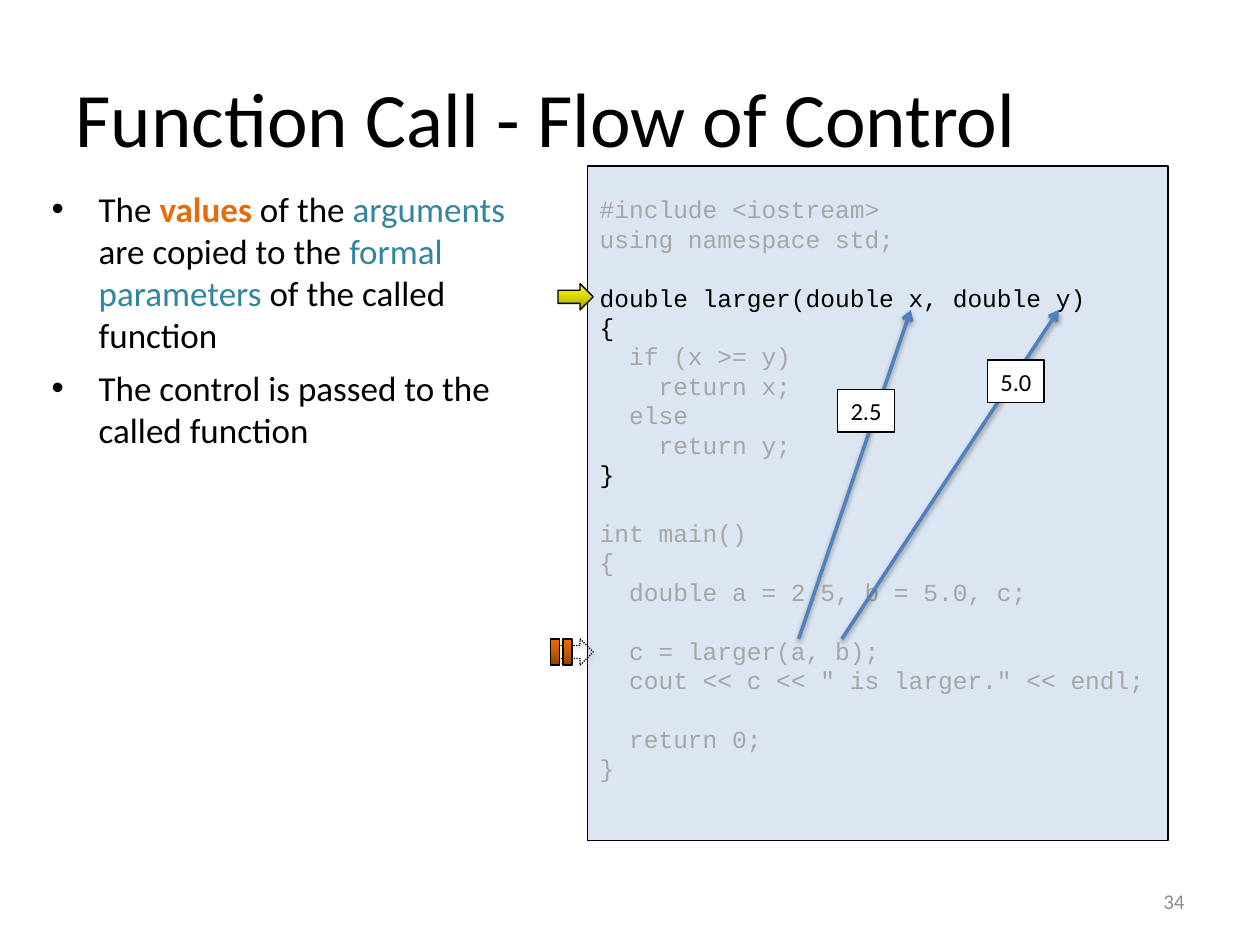
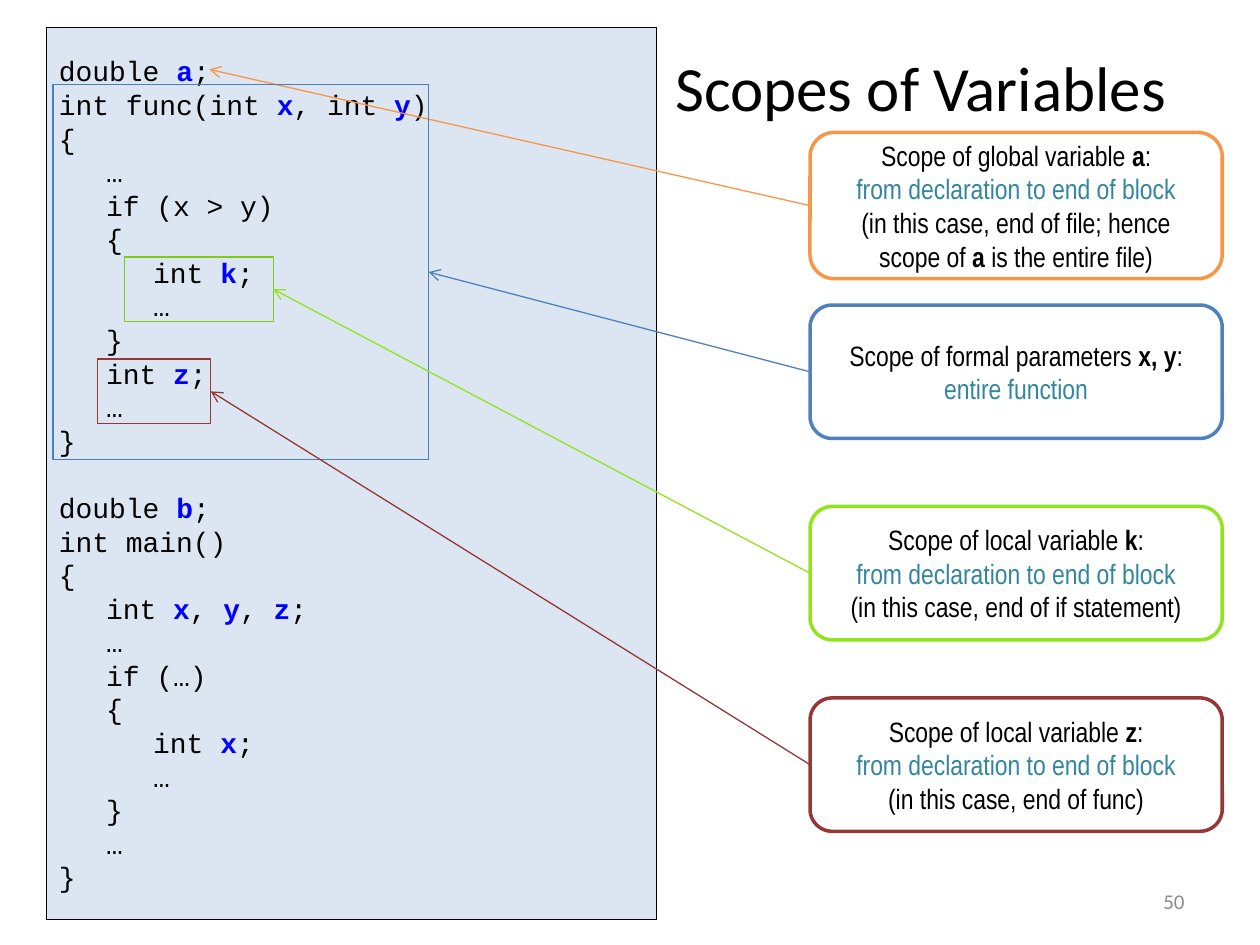
from dataclasses import dataclass

from lxml.etree import SubElement
from pptx import Presentation
from pptx.dml.color import RGBColor
from pptx.enum.dml import MSO_LINE
from pptx.enum.shapes import MSO_CONNECTOR, MSO_SHAPE
from pptx.enum.text import MSO_ANCHOR, PP_ALIGN
from pptx.oxml.ns import qn
from pptx.util import Cm, Pt


@dataclass(frozen=True)
class Theme:
    black: str = "000000"
    white: str = "FFFFFF"
    dimmed: str = "A6A6A6"
    number: str = "8C8C8C"
    panel: str = "DCE6F2"
    value: str = "E46C0A"
    term: str = "31859C"
    variable: str = "0000FF"
    blue: str = "4F81BD"
    orange: str = "F79646"
    green: str = "91E41E"
    red: str = "953735"
    yellow_gradient: tuple = ("979700", "D7D700", "FFFF00")
    orange_gradient: tuple = ("8D4000", "C85B00", "EE6B00")
    body_font: str = "Calibri"
    code_font: str = "Courier New"
    callout_font: str = "Arial Narrow"
    body_size: int = 20
    label_size: int = 14
    callout_size: int = 16
    number_size: int = 12
    line_height: float = 1.2
    thin: float = 0.75
    thick: float = 2


THEME = Theme()

# Content: flow of control
FLOW_TITLE = "Function Call - Flow of Control"
FLOW_BULLETS = [
    [("The ", THEME.black), ("values", THEME.value, True), (" of the ", THEME.black),
     ("arguments", THEME.term), (" are copied to the ", THEME.black),
     ("formal parameters", THEME.term), (" of the called function", THEME.black)],
    [("The control is passed to the called function", THEME.black)],
]
FLOW_CODE = """\
#include <iostream>
using namespace std;

double larger(double x, double y)
{
  if (x >= y)
    return x;
  else
    return y;
}

int main()
{
  double a = 2.5, b = 5.0, c;

  c = larger(a, b);
  cout << c << " is larger." << endl;

  return 0;
}""".split("\n")
ACTIVE_LINES = {3, 4, 9}
# Start, end, label text and label position of each copied value
COPIED_VALUES = [
    ((16.1, 12.88), (18.36, 6.25), "2.5", (16.89, 7.85)),
    ((16.97, 12.88), (21.34, 6.25), "5.0", (19.91, 7.26)),
]

# Content: scopes; bars enclose the emphasised parts of a line
SCOPE_TITLE = "Scopes of Variables"
SCOPE_CODE = """\
double |a|;
int func(int |x|, int |y|)
{
\t…
\tif (x > y)
\t{
\t\tint |k|;
\t\t…
\t}
\tint |z|;
\t…
}

double |b|;
int main()
{
\tint |x|, |y|, |z|;
\t…
\tif (…)
\t{
\t\tint |x|;
\t\t…
\t}
\t…
}""".split("\n")
TO_END = "from declaration to end of block"
# Each scope: colour, callout top and height, lines, outlined code area, outline colour
SCOPES = [
    (THEME.orange, 2.67, 2.95,
     ["Scope of global variable |a|:", TO_END,
      "(in this case, end of file; hence scope of |a| is the entire file)"], None, None),
    (THEME.blue, 6.15, 2.69,
     ["Scope of formal parameters |x, y|:", "entire function"],
     (1.07, 1.7, 7.57, 7.57), "4B7EBC"),
    (THEME.green, 10.21, 2.69,
     ["Scope of local variable |k|:", TO_END, "(in this case, end of if statement)"],
     (2.51, 5.18, 3, 1.3), "80CA18"),
    (THEME.red, 14.07, 2.69,
     ["Scope of local variable |z|:", TO_END, "(in this case, end of func)"],
     (1.96, 7.24, 2.29, 1.3), THEME.red),
]
GLOBAL_DECLARATION = (4.22, 1.4)


def lengths(values):
    return [Cm(value) for value in values]


def color(value):
    return RGBColor.from_string(value)


def marked(line, plain, strong):
    """Split a line at its bars into plain and bold runs."""
    return [(part, strong if index % 2 else plain, bool(index % 2))
            for index, part in enumerate(line.split("|")) if part]


# Text
def add_tabs(paragraph):
    tab_list = SubElement(paragraph._p.get_or_add_pPr(), qn("a:tabLst"))
    for position in (0.95, 1.9):
        SubElement(tab_list, qn("a:tab"), pos=str(Cm(position)), algn="l")


def add_bullet(paragraph):
    properties = paragraph._p.get_or_add_pPr()
    properties.set("marL", str(Cm(0.95)))
    properties.set("indent", str(-Cm(0.95)))
    bullet_color = SubElement(properties, qn("a:buClr"))
    SubElement(bullet_color, qn("a:srgbClr"), val=THEME.black)
    SubElement(properties, qn("a:buFont"), typeface="Arial")
    SubElement(properties, qn("a:buChar"), char="•")


def write(frame, lines, font, size, align=PP_ALIGN.LEFT, prepare=None, gap=0):
    """Write lines of (text, colour, bold) runs; an empty line becomes space before."""
    height = Pt(size * THEME.line_height)
    space, first = 0, True
    for runs in lines:
        if not runs:
            space += height
            continue
        paragraph = frame.paragraphs[0] if first else frame.add_paragraph()
        if prepare:
            prepare(paragraph)
        paragraph.alignment = align
        paragraph.line_spacing = height
        paragraph.space_before = 0 if first else space + Pt(gap)
        paragraph.font.name = font
        paragraph.font.size = Pt(size)
        for text, run_color, *bold in runs:
            run = paragraph.add_run()
            run.text = text
            run.font.color.rgb = color(run_color)
            run.font.bold = any(bold)
        space, first = 0, False


def add_text(slide, box, lines, size, anchor=MSO_ANCHOR.TOP, **options):
    frame = slide.shapes.add_textbox(*lengths(box)).text_frame
    frame.word_wrap = True
    frame.vertical_anchor = anchor
    write(frame, lines, THEME.body_font, size, **options)


# Shapes and lines
def add_box(slide, kind, box, fill=None, line=THEME.black, width=THEME.thin):
    shape = slide.shapes.add_shape(kind, *lengths(box))
    shape.shadow.inherit = False
    if isinstance(fill, tuple):
        shape.fill.gradient()
        shape.fill.gradient_angle = 90
        stops = shape._element.spPr.find(qn("a:gradFill")).find(qn("a:gsLst"))
        stops.clear()
        for position, stop_color in zip((0, 50000, 100000), fill):
            stop = SubElement(stops, qn("a:gs"), pos=str(position))
            SubElement(stop, qn("a:srgbClr"), val=stop_color)
    elif fill:
        shape.fill.solid()
        shape.fill.fore_color.rgb = color(fill)
    else:
        shape.fill.background()
    shape.line.color.rgb = color(line)
    shape.line.width = Pt(width)
    shape.text_frame.vertical_anchor = MSO_ANCHOR.MIDDLE
    return shape


def add_shadow(effects, opacity, distance):
    shadow = SubElement(effects, qn("a:outerShdw"), blurRad=str(Pt(3.1)),
                        dist=str(Pt(distance)), dir="5400000", rotWithShape="0")
    shadow_color = SubElement(shadow, qn("a:srgbClr"), val=THEME.black)
    SubElement(shadow_color, qn("a:alpha"), val=str(opacity * 1000))


def add_arrow(slide, start, end, line, width):
    """Draw an arrow and return it with its effect list."""
    arrow = slide.shapes.add_connector(MSO_CONNECTOR.STRAIGHT, *lengths(start + end))
    arrow.line.color.rgb = color(line)
    arrow.line.width = Pt(width)
    properties = arrow._element.spPr
    SubElement(properties.find(qn("a:ln")), qn("a:tailEnd"), type="arrow")
    return arrow, SubElement(properties, qn("a:effectLst"))


def add_code(slide, box, lines, size):
    panel = add_box(slide, MSO_SHAPE.RECTANGLE, box, THEME.panel)
    write(panel.text_frame, lines, THEME.code_font, size, prepare=add_tabs)
    return panel


def add_slide(presentation, title, box, size, number):
    slide = presentation.slides.add_slide(presentation.slide_layouts[5])
    holder = slide.shapes.title
    holder.left, holder.top, holder.width, holder.height = lengths(box)
    write(holder.text_frame, [[(title, THEME.black)]], THEME.body_font, size)
    add_text(slide, (18.21, 17.65, 5.92, 1.02), [[(number, THEME.number)]],
             THEME.number_size, MSO_ANCHOR.MIDDLE, align=PP_ALIGN.RIGHT)
    return slide


def build_flow(presentation):
    slide = add_slide(presentation, FLOW_TITLE, (1.27, 0.76, 22.86, 3.18), 44, "34")
    add_text(slide, (0.79, 3.66, 10.31, 13.64), FLOW_BULLETS, THEME.body_size,
             prepare=add_bullet, gap=6)
    code = [[(line, THEME.black if index in ACTIVE_LINES else THEME.dimmed)] if line else []
            for index, line in enumerate(FLOW_CODE)]
    panel = add_code(slide, (11.84, 3.35, 11.71, 13.59), code, 14)
    panel.text_frame.margin_bottom = Cm(0.72)

    # Current line and paused caller
    marker_left, marker_width, marker_height, caller_top = 11.25, 0.71, 0.53, 12.88
    add_box(slide, MSO_SHAPE.RIGHT_ARROW, (marker_left, 5.72, marker_width, marker_height),
            THEME.yellow_gradient)
    paused = add_box(slide, MSO_SHAPE.RIGHT_ARROW,
                     (marker_left, caller_top, marker_width, marker_height))
    paused.line.dash_style = MSO_LINE.ROUND_DOT
    add_shadow(paused._element.spPr.find(qn("a:effectLst")), 35, 1.8)
    for left in (11.1, 11.35):
        add_box(slide, MSO_SHAPE.RECTANGLE, (left, caller_top, 0.18, marker_height),
                THEME.orange_gradient)

    # Arguments copied to parameters
    for start, end, _, _ in COPIED_VALUES:
        _, effects = add_arrow(slide, start, end, THEME.blue, THEME.thick)
        add_shadow(effects, 38, 1.6)
    for _, _, text, place in COPIED_VALUES:
        label = add_box(slide, MSO_SHAPE.RECTANGLE, place + (1.14, 0.86), THEME.white)
        label.text_frame.word_wrap = False
        write(label.text_frame, [[(text, THEME.black)]], THEME.body_font, THEME.label_size,
              PP_ALIGN.CENTER)


def build_scopes(presentation):
    slide = add_slide(presentation, SCOPE_TITLE, (13.36, 0.15, 12.04, 3.18), 36, "50")
    code = [marked(line, THEME.black, THEME.variable) for line in SCOPE_CODE]
    add_code(slide, (0.94, 0.56, 12.29, 17.98), code, 16)
    for accent, top, height, lines, area, outline in SCOPES:
        callout = add_box(slide, MSO_SHAPE.ROUNDED_RECTANGLE, (16.33, top, 8.31, height),
                          THEME.white, accent, THEME.thick)
        text = [marked(line, THEME.term if index == 1 else THEME.black, THEME.black)
                for index, line in enumerate(lines)]
        write(callout.text_frame, text, THEME.callout_font, THEME.callout_size,
              PP_ALIGN.CENTER)
        arrow, _ = add_arrow(slide, (16.33, top + height / 2), GLOBAL_DECLARATION,
                             accent, THEME.thin)
        arrow.begin_connect(callout, 1)
        if area:
            arrow.end_connect(add_box(slide, MSO_SHAPE.RECTANGLE, area, line=outline), 3)


def main():
    presentation = Presentation()
    presentation.slide_width, presentation.slide_height = Cm(25.4), Cm(19.05)
    build_flow(presentation)
    build_scopes(presentation)
    presentation.save("out.pptx")


if __name__ == "__main__":
    main()
